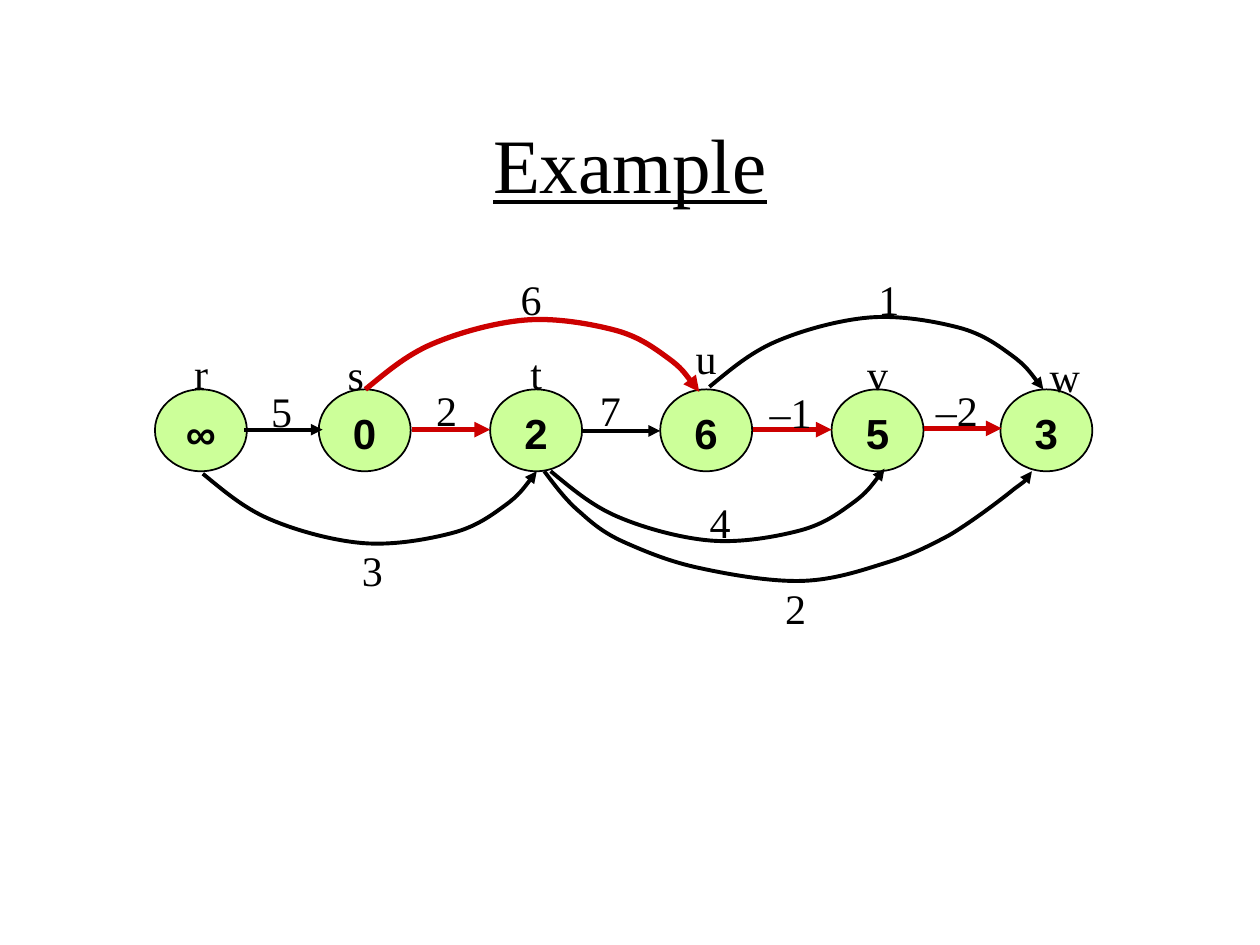
from lxml import etree
from pptx import Presentation
from pptx import util as u
from pptx.dml.color import RGBColor
from pptx.enum import shapes, text
from pptx.oxml.ns import qn

BLACK = RGBColor(0x00, 0x00, 0x00)
RED = RGBColor(0xCC, 0x00, 0x00)
GREEN = RGBColor(0xCC, 0xFF, 0x99)


def arrow(shape, color):
    """Style a line or curve and put an arrowhead at its end."""
    shape.line.color.rgb = color
    shape.line.width = u.Pt(3 if color == RED else 2.25)
    props = shape._element.spPr
    head = etree.SubElement(props.find(qn("a:ln")), qn("a:tailEnd"))
    head.set("type", "triangle")
    etree.SubElement(props, qn("a:effectLst"))


def write(shape, words, face, bold=False):
    frame = shape.text_frame
    frame.word_wrap = False
    frame.margin_top = u.Inches(0.08)
    para = frame.paragraphs[0]
    para.text = words
    para.alignment = text.PP_ALIGN.CENTER
    para.font.name = face
    para.font.size = u.Pt(24)
    para.font.bold = bold
    para.font.color.rgb = BLACK


deck = Presentation()
deck.slide_width, deck.slide_height = u.Inches(10), u.Inches(7.5)
slide = deck.slides.add_slide(deck.slide_layouts[5])

title = slide.shapes.title
title.left, title.top = u.Inches(0.75), u.Inches(0.67)
title.width, title.height = u.Inches(8.5), u.Inches(1.25)
title.text_frame.vertical_anchor = text.MSO_ANCHOR.MIDDLE
para = title.text_frame.paragraphs[0]
para.text = "Example"
para.alignment = text.PP_ALIGN.CENTER
para.font.name = "Times New Roman"
para.font.size = u.Pt(44)
para.font.underline = True
para.font.color.rgb = BLACK

# Vertices with their distances
nodes = [(1.23, "∞"), (2.53, "0"), (3.89, "2"), (5.24, "6"), (6.6, "5"), (7.94, "3")]
for x, dist in nodes:
    node = slide.shapes.add_shape(
        shapes.MSO_SHAPE.OVAL, u.Inches(x), u.Inches(3.09), u.Inches(0.73), u.Inches(0.65))
    node.shadow.inherit = False
    node.fill.solid()
    node.fill.fore_color.rgb = GREEN
    node.line.color.rgb = BLACK
    node.line.width = u.Pt(1)
    node.text_frame.vertical_anchor = text.MSO_ANCHOR.MIDDLE
    write(node, dist, "Arial", bold=True)

# Edges between neighbours
edges = [(1.94, 3.41, BLACK), (3.27, 3.41, RED), (4.62, 3.42, BLACK),
         (5.98, 3.41, RED), (7.33, 3.4, RED)]
for x, y, color in edges:
    edge = slide.shapes.add_connector(
        shapes.MSO_CONNECTOR.STRAIGHT, u.Inches(x), u.Inches(y), u.Inches(x + 0.62), u.Inches(y))
    arrow(edge, color)

# Curved edges: start point, then three Bezier points for each piece.
# The arc gives run from its start and rise above its end.
arc = [(0, 0.02), (0.16, 0.15), (0.32, 0.29), (0.53, 0.38), (0.74, 0.47), (1.03, 0.55),
       (1.27, 0.57), (1.51, 0.59), (1.79, 0.54), (1.98, 0.49), (2.17, 0.44), (2.29, 0.35),
       (2.4, 0.27), (2.51, 0.19), (2.58, 0.09), (2.65, 0)]
long = [(4.32, 3.74), (4.41, 3.86), (4.5, 3.98), (4.61, 4.07), (4.72, 4.17), (4.81, 4.24),
        (4.97, 4.31), (5.13, 4.38), (5.32, 4.46), (5.56, 4.51), (5.79, 4.56), (6.13, 4.62),
        (6.38, 4.61), (6.62, 4.6), (6.83, 4.53), (7.02, 4.47), (7.22, 4.41), (7.36, 4.34),
        (7.53, 4.25), (7.7, 4.15), (7.94, 3.97), (8.05, 3.88), (8.16, 3.8), (8.18, 3.77),
        (8.19, 3.74)]
places = [(2.9, 3.11, -1, RED), (5.63, 3.09, -1, BLACK),
          (1.61, 3.74, 1, BLACK), (4.37, 3.72, 1, BLACK)]
curves = [([(x + run, y + way * rise) for run, rise in arc], color)
          for x, y, way, color in places]
curves.append((long, BLACK))
for points, color in curves:
    start, *rest = [(u.Inches(x), u.Inches(y)) for x, y in points]
    pen = slide.shapes.build_freeform(*start)
    pen.add_line_segments(rest, close=False)
    curve = pen.convert_to_shape()
    curve.fill.background()
    steps = list(curve._element.iter(qn("a:lnTo")))
    track = steps[0].getparent()
    for i in range(0, len(steps), 3):
        bend = etree.SubElement(track, qn("a:cubicBezTo"))
        for step in steps[i:i + 3]:
            bend.append(step[0])
            track.remove(step)
    arrow(curve, color)

# Vertex names, then edge weights
labels = [
    ("r", 1.44, 2.68, 0.31), ("s", 2.66, 2.69, 0.33), ("t", 4.11, 2.68, 0.29),
    ("u", 5.42, 2.56, 0.37), ("v", 6.78, 2.69, 0.37), ("w", 8.23, 2.7, 0.44),
    ("5", 2.05, 2.98, 0.37), ("2", 3.36, 2.97, 0.37), ("7", 4.66, 2.97, 0.37),
    ("–1", 6.01, 2.99, 0.53), ("–2", 7.33, 2.97, 0.53), ("6", 4.03, 2.09, 0.37),
    ("1", 6.87, 2.09, 0.37), ("3", 2.77, 4.24, 0.37), ("2", 6.13, 4.54, 0.37),
    ("4", 5.53, 3.86, 0.37),
]
for words, x, y, wide in labels:
    box = slide.shapes.add_textbox(u.Inches(x), u.Inches(y), u.Inches(wide), u.Inches(0.5))
    box.text_frame.auto_size = text.MSO_AUTO_SIZE.SHAPE_TO_FIT_TEXT
    write(box, words, "Times New Roman")

deck.save("out.pptx")
